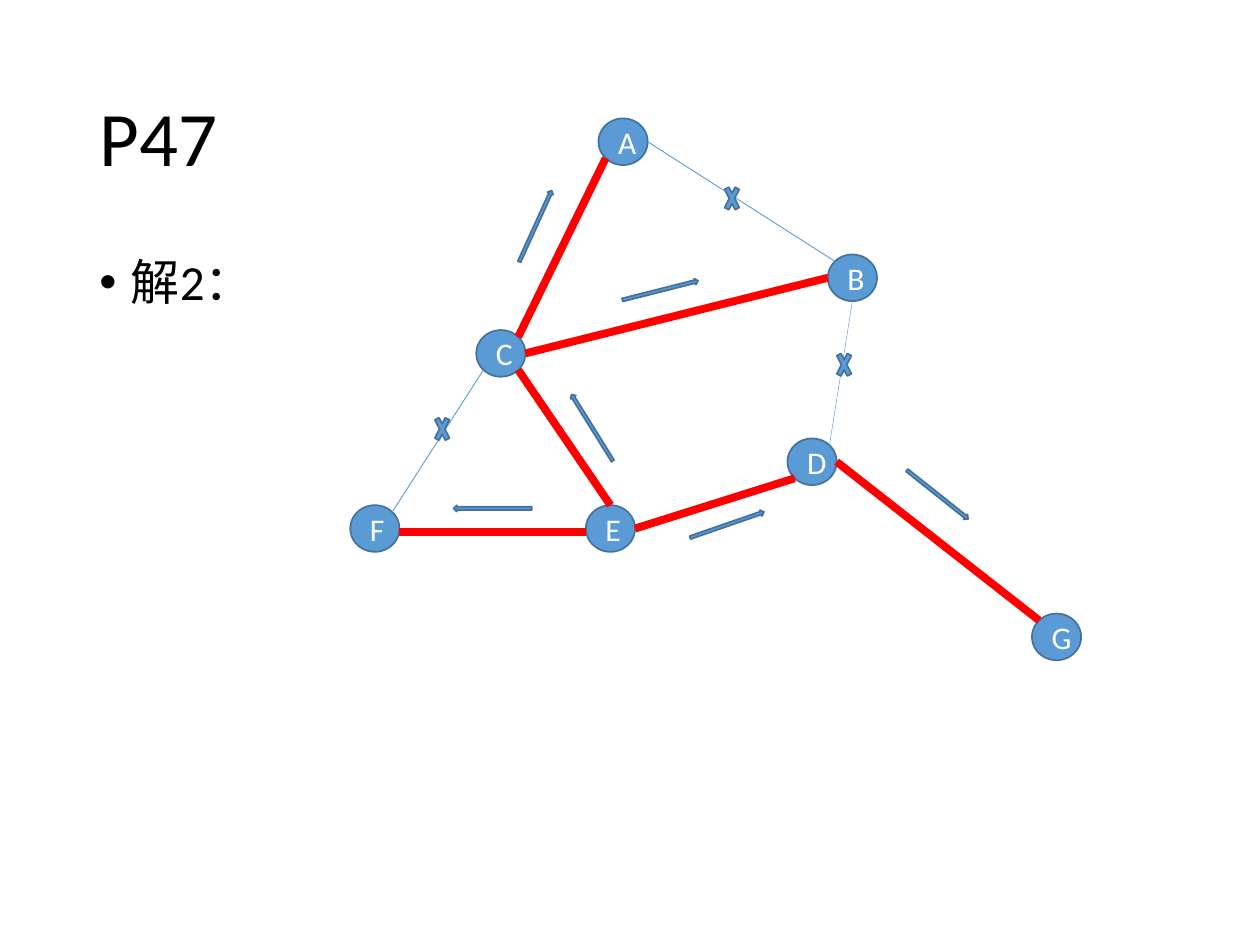
import math
import pptx
import pptx.util
import pptx.dml.color
import pptx.enum.shapes
import pptx.enum.text
import pptx.oxml.ns
import lxml.etree

Inches = pptx.util.Inches
Pt = pptx.util.Pt
RGBColor = pptx.dml.color.RGBColor
SHAPE = pptx.enum.shapes.MSO_SHAPE
ANCHOR = pptx.enum.text.MSO_ANCHOR

BLACK = RGBColor(0x00, 0x00, 0x00)
WHITE = RGBColor(0xFF, 0xFF, 0xFF)
BLUE = RGBColor(0x5B, 0x9B, 0xD5)
DARK_BLUE = RGBColor(0x43, 0x73, 0x9E)
RED = RGBColor(0xFF, 0x00, 0x00)

presentation = pptx.Presentation()
presentation.slide_width = Inches(10)
presentation.slide_height = Inches(7.5)
slide = presentation.slides.add_slide(presentation.slide_layouts[6])


def add_text(text_frame, text, size, color):
    paragraph = text_frame.paragraphs[0]
    run = paragraph.add_run()
    run.text = text
    run.font.name = "Calibri"
    run.font.size = Pt(size)
    run.font.color.rgb = color
    return paragraph


def add_blue_shape(kind, left, top, width, height, rotation=0):
    shape = slide.shapes.add_shape(kind, Inches(left), Inches(top), Inches(width), Inches(height))
    shape.rotation = rotation
    shape.shadow.inherit = False
    shape.fill.solid()
    shape.fill.fore_color.rgb = BLUE
    shape.line.color.rgb = DARK_BLUE
    shape.line.width = Pt(1)
    return shape


for text, size, top, height, anchor in [
    ("P47", 44, 0.4, 1.45, ANCHOR.MIDDLE),
    ("解2：", 28, 2, 4.76, ANCHOR.TOP),
]:
    box = slide.shapes.add_textbox(Inches(0.69), Inches(top), Inches(8.62), Inches(height))
    box.text_frame.word_wrap = True
    box.text_frame.vertical_anchor = anchor
    paragraph = add_text(box.text_frame, text, size, BLACK)
    paragraph.line_spacing = 0.9

paragraph.space_before = Pt(10)
properties = paragraph._p.get_or_add_pPr()
properties.set("marL", str(Inches(0.25)))
properties.set("indent", str(Inches(-0.25)))
for tag, attribute, value in [("a:buFont", "typeface", "Arial"), ("a:buChar", "char", "•")]:
    bullet = lxml.etree.SubElement(properties, pptx.oxml.ns.qn(tag))
    bullet.set(attribute, value)

node_width, node_height = 0.39, 0.37
nodes = {
    "A": (4.75, 0.94), "C": (3.78, 2.62), "F": (2.78, 4.01), "E": (4.65, 4.01),
    "B": (6.57, 2.02), "D": (6.25, 3.48), "G": (8.19, 4.87),
}
for name, (left, top) in nodes.items():
    node = add_blue_shape(SHAPE.OVAL, left, top, node_width, node_height)
    node.text_frame.vertical_anchor = ANCHOR.MIDDLE
    paragraph = add_text(node.text_frame, name, 18, WHITE)
    paragraph.alignment = pptx.enum.text.PP_ALIGN.CENTER

edges = [
    ("A", 135, "C", 315, RED, 4.5, 0),
    ("C", 135, "F", 315, BLUE, 0.5, 0),
    ("A", 0, "B", 225, BLUE, 0.5, 0),
    ("C", 0, "B", 180, RED, 4.5, 0),
    ("C", 45, "E", 270, RED, 4.5, 0),
    ("F", 0, "E", 180, RED, 4.5, 0.03),
    ("B", 90, "D", 315, BLUE, 0.25, 0),
    ("E", 0, "D", 135, RED, 4.5, 0),
    ("D", 0, "G", 225, RED, 4.5, 0),
]
for start, start_angle, end, end_angle, color, width, drop in edges:
    ends = []
    for name, angle in [(start, start_angle), (end, end_angle)]:
        left, top = nodes[name]
        turn = math.radians(angle)
        ends.append(Inches(left + node_width / 2 * (1 + math.cos(turn))))
        ends.append(Inches(top + node_height / 2 * (1 + math.sin(turn)) + drop))
    edge = slide.shapes.add_connector(pptx.enum.shapes.MSO_CONNECTOR.STRAIGHT, *ends)
    edge.line.color.rgb = color
    edge.line.width = Pt(width)
    lxml.etree.SubElement(edge._element.spPr, pptx.oxml.ns.qn("a:effectLst"))

for left, top, rotation in [
    (3.6, 4.01, 180), (4.39, 3.37, 238.1), (5.46, 4.14, 340.9),
    (4.93, 2.28, 345.8), (7.13, 3.9, 38.5), (3.94, 1.77, 294.5),
]:
    add_blue_shape(SHAPE.RIGHT_ARROW, left, top, 0.62, 0.05, rotation)

for left, top in [(5.73, 1.42), (6.62, 2.74), (3.43, 3.25)]:
    add_blue_shape(SHAPE.MATH_MULTIPLY, left, top, 0.16, 0.31)

presentation.save("out.pptx")
